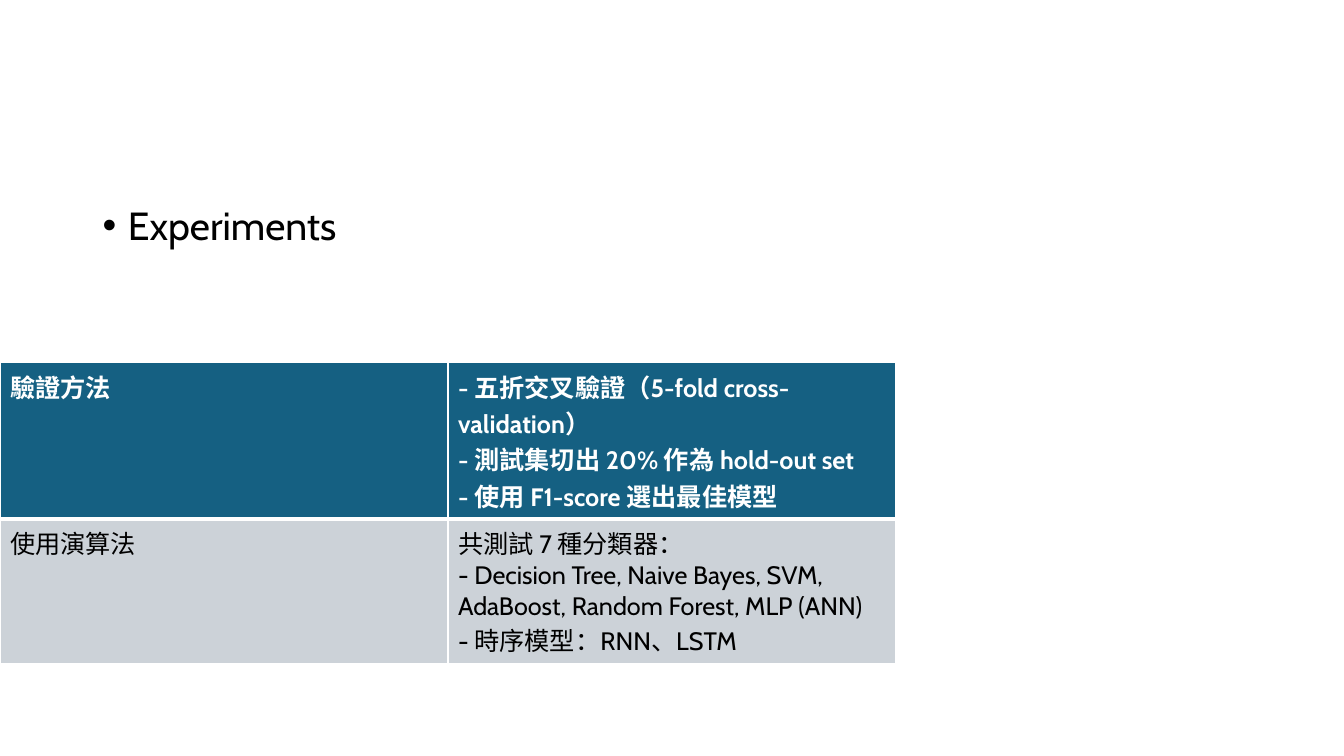
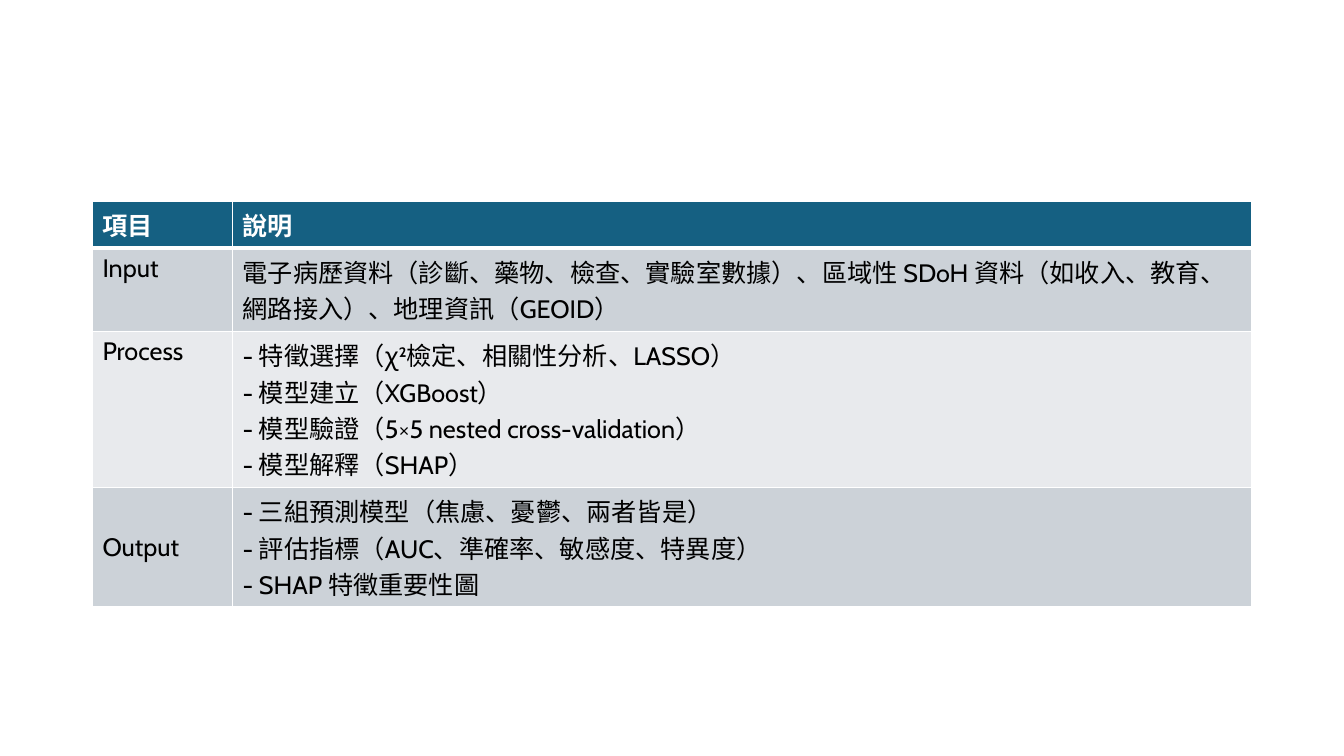
from lxml.etree import SubElement
from pptx import Presentation
from pptx.dml.color import RGBColor
from pptx.enum.text import MSO_ANCHOR as Anchor, MSO_AUTO_SIZE as AutoSize
from pptx.oxml.ns import qn
from pptx.util import Cm, Pt

COLORS = {
    "header": "156082",
    "odd": "CCD2D8",
    "even": "E8EAED",
    "border": "FFFFFF",
    "header_text": "FFFFFF",
    "text": "000000",
}
FONT = "Cabin"
MARGIN = 2.33
CONTENT_TOP = 5.08
CONTENT_WIDTH = 29.21
ROW_HEIGHT = 1.03

EXPERIMENT_ROWS = [
    ["驗證方法",
     "- 五折交叉驗證（5-fold cross-validation）\n"
     "- 測試集切出 20% 作為 hold-out set\n"
     "- 使用 F1-score 選出最佳模型"],
    ["使用演算法",
     "共測試 7 種分類器：\n"
     "- Decision Tree, Naive Bayes, SVM, AdaBoost, Random Forest, MLP (ANN)\n"
     "- 時序模型：RNN、LSTM"],
]
PIPELINE_ROWS = [
    ["項目", "說明"],
    ["Input",
     "電子病歷資料（診斷、藥物、檢查、實驗室數據）、區域性 SDoH 資料"
     "（如收入、教育、網路接入）、地理資訊（GEOID）"],
    ["Process",
     "- 特徵選擇（χ²檢定、相關性分析、LASSO）\n"
     "- 模型建立（XGBoost）\n"
     "- 模型驗證（5×5 nested cross-validation）\n"
     "- 模型解釋（SHAP）"],
    ["Output",
     "- 三組預測模型（焦慮、憂鬱、兩者皆是）\n"
     "- 評估指標（AUC、準確率、敏感度、特異度）\n"
     "- SHAP 特徵重要性圖"],
]


def rgb(name):
    return RGBColor.from_string(COLORS[name])


def write_text(frame, text, size=18, color="text", bold=False):
    """Write one paragraph per line of text and return the paragraphs."""
    frame.text = text
    for para in frame.paragraphs:
        for span in para.runs:
            span.font.name = FONT
            span.font.size = Pt(size)
            span.font.bold = bold
            span.font.color.rgb = rgb(color)
    return frame.paragraphs


def set_borders(cell, top=1, bottom=1):
    properties = cell._tc.get_or_add_tcPr()
    for side, width in (("L", 1), ("R", 1), ("T", top), ("B", bottom)):
        line = SubElement(properties, qn(f"a:ln{side}"), w=str(Pt(width)))
        fill = SubElement(line, qn("a:solidFill"))
        SubElement(fill, qn("a:srgbClr"), val=COLORS["border"])


def add_banded_table(page, rows, left, top, widths, middle_cells=()):
    """Add a table with a header row; middle_cells are (row, column) pairs."""
    frame = page.shapes.add_table(
        len(rows), len(widths), Cm(left), Cm(top),
        Cm(sum(widths)), Cm(ROW_HEIGHT * len(rows)))
    table = frame.table
    for column, width in zip(table.columns, widths):
        column.width = Cm(width)
    for row_index, texts in enumerate(rows):
        table.rows[row_index].height = Cm(ROW_HEIGHT)
        is_header = row_index == 0
        band = "header" if is_header else ("even", "odd")[row_index % 2]
        for column_index, text in enumerate(texts):
            cell = table.cell(row_index, column_index)
            set_borders(cell, top=3 if row_index == 1 else 1,
                        bottom=3 if is_header else 1)
            cell.fill.solid()
            cell.fill.fore_color.rgb = rgb(band)
            write_text(cell.text_frame, text, bold=is_header,
                       color="header_text" if is_header else "text")
            if (row_index, column_index) in middle_cells:
                cell.vertical_anchor = Anchor.MIDDLE


def fill_body(body, text):
    body.left, body.top = Cm(MARGIN), Cm(CONTENT_TOP)
    body.width, body.height = Cm(CONTENT_WIDTH), Cm(12.09)
    body.text_frame.auto_size = AutoSize.NONE
    for para in write_text(body.text_frame, text, size=28):
        para.line_spacing = 0.9
        para.space_before = Pt(10)
        properties = para._p.get_or_add_pPr()
        properties.set("marL", str(Cm(0.64)))
        properties.set("indent", str(Cm(-0.64)))
        SubElement(properties, qn("a:buFont"), typeface="Arial")
        SubElement(properties, qn("a:buChar"), char="•")


def add_experiments_page(deck):
    page = deck.slides.add_slide(deck.slide_layouts[1])
    title = page.shapes.title
    title.element.getparent().remove(title.element)
    fill_body(page.placeholders[1], "Experiments")
    add_banded_table(page, EXPERIMENT_ROWS, 0, 9.14, [11.29, 11.29])


def add_pipeline_page(deck):
    page = deck.slides.add_slide(deck.slide_layouts[6])
    add_banded_table(page, PIPELINE_ROWS, MARGIN, CONTENT_TOP,
                     [3.53, CONTENT_WIDTH - 3.53],
                     middle_cells=[(0, 0), (3, 0)])


def main():
    deck = Presentation()
    deck.slide_width, deck.slide_height = Cm(33.87), Cm(19.05)
    add_experiments_page(deck)
    add_pipeline_page(deck)
    deck.save("out.pptx")


if __name__ == "__main__":
    main()
